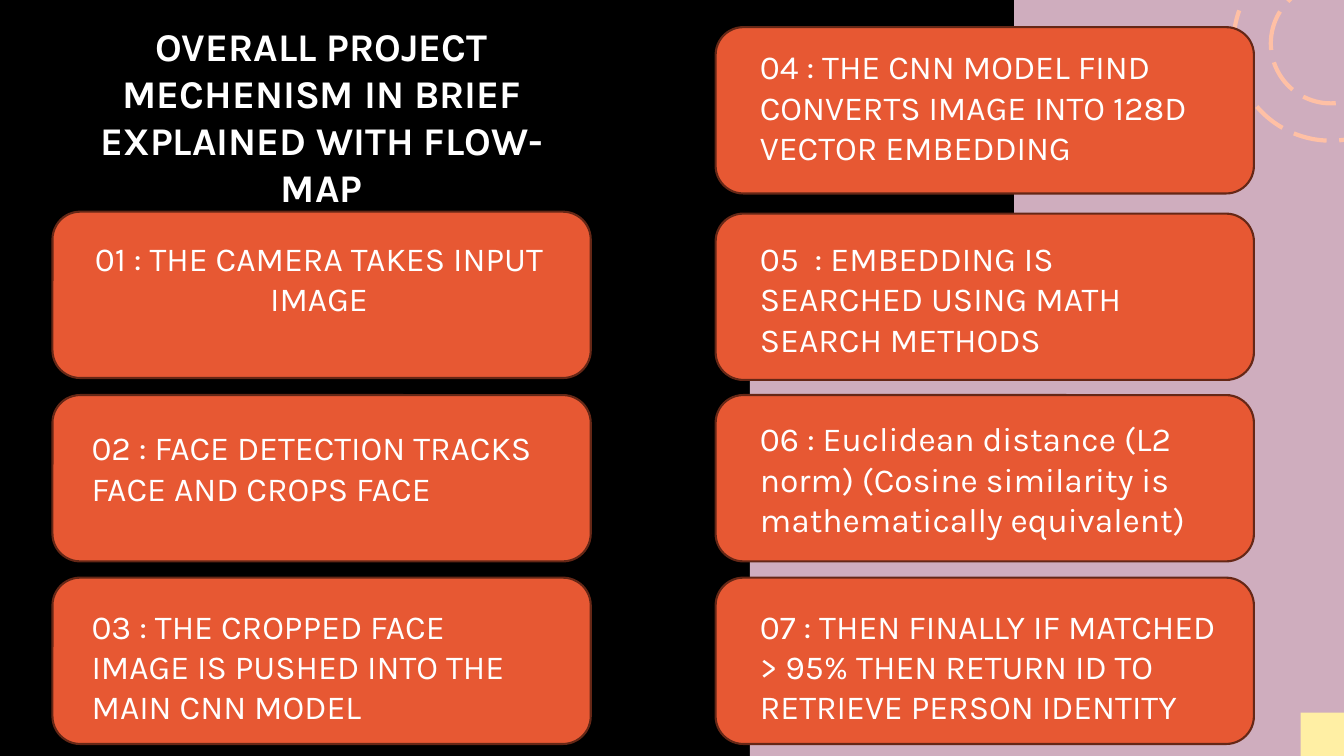
from pptx import Presentation
from pptx import util as u
from pptx.dml.color import RGBColor
from pptx.enum import dml, shapes, text

Pt = u.Pt
FONT = "Karla"
COLORS = {
    "background": "000000",
    "panel": "CFADBE",
    "corner": "FFEFA4",
    "ring": "FFC0A5",
    "card": "E75833",
    "card_line": "652716",
    "text": "FFFFFF",
}
CARD_W, CARD_H = 384.5, 118.8

# Card left, card top, text left, text top, text width, text height, wording, centred
STEPS = [
    (37.5, 151.2, 58.3, 166.3, 339, 87, "01 : THE CAMERA TAKES INPUT IMAGE", True),
    (37.5, 282.2, 58.3, 301.7, 339, 65.5, "02 : FACE DETECTION TRACKS FACE AND CROPS FACE", False),
    (37.5, 412.6, 58.3, 429.1, 339, 94.3,
     "03 : THE CROPPED FACE IMAGE IS PUSHED INTO THE MAIN CNN MODEL", False),
    (511.2, 19.4, 535.7, 29.5, 337, 94.3,
     "04 : THE CNN MODEL FIND CONVERTS IMAGE INTO 128D VECTOR EMBEDDING", False),
    (511.2, 152.6, 535.7, 166.3, 337, 94.3,
     "05  : EMBEDDING IS SEARCHED USING MATH SEARCH METHODS", False),
    (511.2, 282.2, 535.7, 295.2, 337, 94.3,
     "06 : Euclidean distance (L2 norm) (Cosine similarity is mathematically equivalent)", False),
    (511.2, 412.6, 535.7, 429.1, 342, 94.3,
     "07 : THEN FINALLY IF MATCHED > 95% THEN RETURN ID TO RETRIEVE PERSON IDENTITY", False),
]


def rgb(name):
    return RGBColor.from_string(COLORS[name])


def add_shape(s, kind, x, y, w, h, fill=None, line=None, weight=1.5, dash=None):
    sp = s.shapes.add_shape(kind, Pt(x), Pt(y), Pt(w), Pt(h))
    sp.shadow.inherit = False
    if fill:
        sp.fill.solid()
        sp.fill.fore_color.rgb = rgb(fill)
    else:
        sp.fill.background()
    if line:
        sp.line.color.rgb = rgb(line)
        sp.line.width = Pt(weight)
        sp.line.dash_style = dash
    else:
        sp.line.fill.background()
    return sp


def add_text(s, x, y, w, h, lines, size=24, bold=False, centred=False):
    tf = s.shapes.add_textbox(Pt(x), Pt(y), Pt(w), Pt(h)).text_frame
    tf.word_wrap = True
    tf.auto_size = text.MSO_AUTO_SIZE.SHAPE_TO_FIT_TEXT
    for i, line in enumerate(lines):
        p = tf.paragraphs[0] if i == 0 else tf.add_paragraph()
        p.alignment = text.PP_ALIGN.CENTER if centred else text.PP_ALIGN.LEFT
        r = p.add_run()
        r.text = line
        r.font.name = FONT
        r.font.size = Pt(size)
        r.font.bold = bold
        r.font.color.rgb = rgb("text")


def add_backdrop(s):
    s.background.fill.solid()
    s.background.fill.fore_color.rgb = rgb("background")
    rect = shapes.MSO_SHAPE.RECTANGLE
    add_shape(s, rect, 535.7, 206, 424.3, 334, fill="panel")
    add_shape(s, rect, 724.3, 0, 235.7, 334, fill="panel")
    add_shape(s, rect, 929, 509, 31, 31, fill="corner")
    # Concentric dashed rings
    cx, cy = 950.6, 31
    for d in (85.7, 139):
        add_shape(s, shapes.MSO_SHAPE.OVAL, cx - d / 2, cy - d / 2, d, d,
                  line="ring", weight=3, dash=dml.MSO_LINE.LONG_DASH)


def add_step(s, x, y, tx, ty, tw, th, wording, centred):
    add_shape(s, shapes.MSO_SHAPE.ROUNDED_RECTANGLE, x, y, CARD_W, CARD_H,
              fill="card", line="card_line")
    add_text(s, tx, ty, tw, th, [wording], centred=centred)


def main():
    prs = Presentation()
    prs.slide_width, prs.slide_height = Pt(960), Pt(540)
    s = prs.slides.add_slide(prs.slide_layouts[6])
    add_backdrop(s)
    # Title
    add_text(s, 37.5, 12.2, CARD_W, 108.7,
             ["OVERALL PROJECT MECHENISM IN BRIEF", "EXPLAINED WITH FLOW-MAP"],
             size=28, bold=True, centred=True)
    # Flow steps
    for step in STEPS:
        add_step(s, *step)
    prs.save("out.pptx")


if __name__ == "__main__":
    main()
